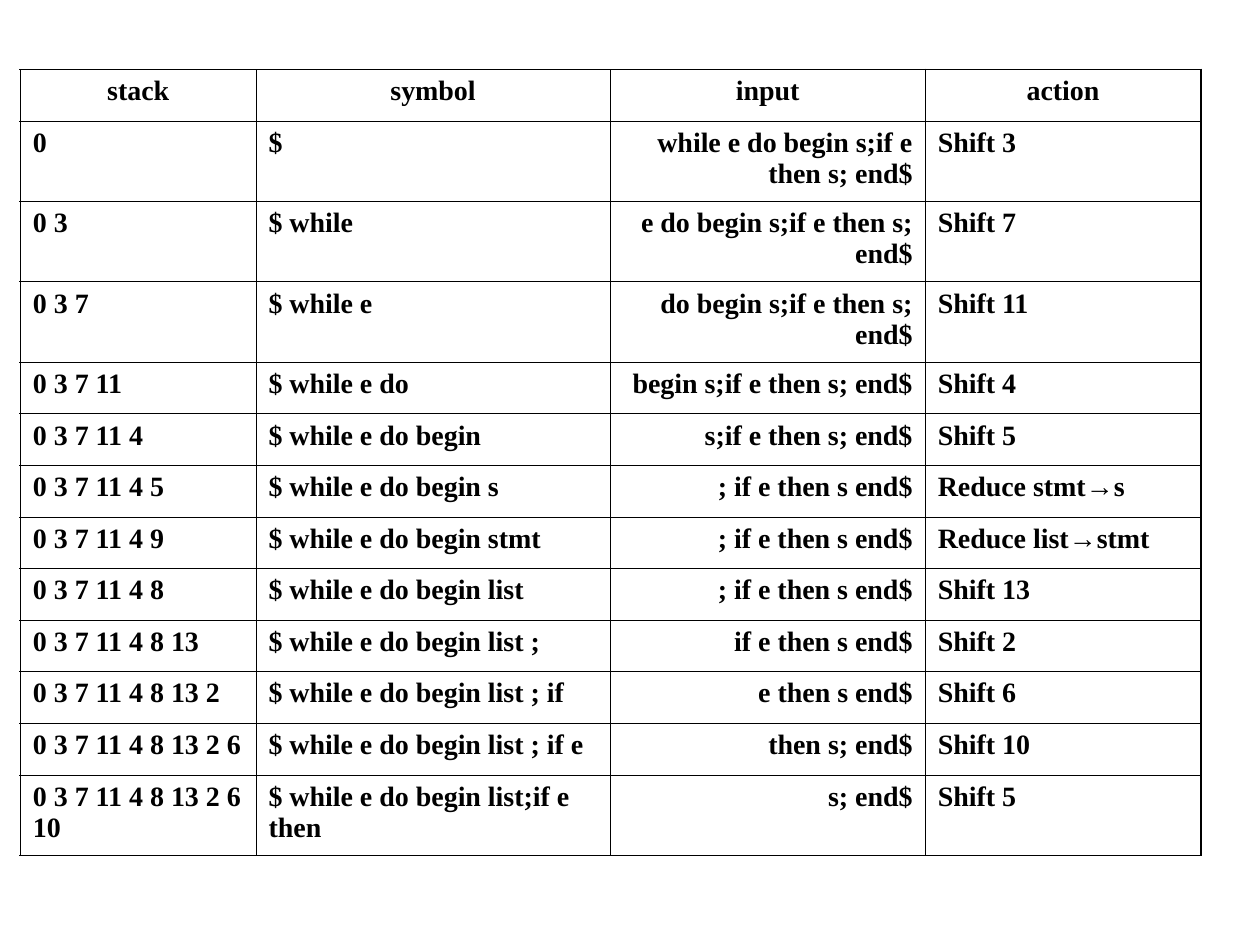
from dataclasses import dataclass
from typing import Any

from lxml.etree import SubElement
from pptx import Presentation
from pptx.dml.color import RGBColor
from pptx.enum.text import PP_ALIGN as Align
from pptx.oxml.ns import qn
from pptx.util import Cm, Pt

BLACK = RGBColor(0x00, 0x00, 0x00)
ARROW = "→"
THIN, THICK = Pt(0.45), Pt(1.08)

COLUMN_WIDTHS = [4.75, 7.14, 6.35, 5.56]
COLUMN_ALIGNMENTS = [Align.LEFT, Align.LEFT, Align.RIGHT, Align.LEFT]
ONE_LINE, TWO_LINES = 1.04, 1.62
TWO_LINE_ROWS = {1, 2, 3, 12}

PARSE_STEPS = [
    ("stack", "symbol", "input", "action"),
    ("0", "$", "while e do begin s;if e then s; end$", "Shift 3"),
    ("0 3", "$ while", "e do begin s;if e then s; end$", "Shift 7"),
    ("0 3 7", "$ while e", "do begin s;if e then s; end$", "Shift 11"),
    ("0 3 7 11", "$ while e do", "begin s;if e then s; end$", "Shift 4"),
    ("0 3 7 11 4", "$ while e do begin", "s;if e then s; end$", "Shift 5"),
    ("0 3 7 11 4 5", "$ while e do begin s", "; if e then s end$", "Reduce stmt→s"),
    ("0 3 7 11 4 9", "$ while e do begin stmt", "; if e then s end$", "Reduce list→stmt"),
    ("0 3 7 11 4 8", "$ while e do begin list", "; if e then s end$", "Shift 13"),
    ("0 3 7 11 4 8 13", "$ while e do begin list ;", "if e then s end$", "Shift 2"),
    ("0 3 7 11 4 8 13 2", "$ while e do begin list ; if", "e then s end$", "Shift 6"),
    ("0 3 7 11 4 8 13 2 6", "$ while e do begin list ; if e", "then s; end$", "Shift 10"),
    ("0 3 7 11 4 8 13 2 6 10", "$ while e do begin list;if e then", "s; end$", "Shift 5"),
]


@dataclass
class SlideBuilder:
    page: Any
    font_name: str = "Times New Roman"
    arrow_font: str = "Arial"
    font_size: int = 16

    def table(self, left, top, rows):
        heights = [TWO_LINES if i in TWO_LINE_ROWS else ONE_LINE for i in range(len(rows))]
        frame = self.page.shapes.add_table(
            len(rows), len(COLUMN_WIDTHS), Cm(left), Cm(top),
            Cm(sum(COLUMN_WIDTHS)), Cm(sum(heights)))
        table = frame.table
        table.first_row = table.horz_banding = False
        for column, width in zip(table.columns, COLUMN_WIDTHS):
            column.width = Cm(width)
        for row, height in zip(table.rows, heights):
            row.height = Cm(height)
        last_column = len(COLUMN_WIDTHS) - 1
        for i, texts in enumerate(rows):
            for j, text in enumerate(texts):
                cell = table.cell(i, j)
                self.borders(cell, {
                    "a:lnL": THICK if j == 0 else THIN,
                    "a:lnR": THICK if j == last_column else THIN,
                    "a:lnT": THICK if i == 0 and j >= 2 else THIN,
                    "a:lnB": THIN,
                })
                cell.fill.background()
                self.text(cell, text, Align.CENTER if i == 0 else COLUMN_ALIGNMENTS[j])

    def borders(self, cell, widths):
        properties = cell._tc.get_or_add_tcPr()
        for tag, width in widths.items():
            line = SubElement(properties, qn(tag), w=str(int(width)))
            fill = SubElement(line, qn("a:solidFill"))
            SubElement(fill, qn("a:srgbClr"), val=str(BLACK))

    def text(self, cell, text, alignment):
        """Write one bold paragraph, with any arrow in its own font."""
        para = cell.text_frame.paragraphs[0]
        para.alignment = alignment
        for part in filter(None, text.partition(ARROW)):
            span = para.add_run()
            span.text = part
            style = {
                "name": self.arrow_font if part == ARROW else self.font_name,
                "size": Pt(self.font_size),
                "bold": True,
            }
            for attribute, value in style.items():
                setattr(span.font, attribute, value)
            span.font.color.rgb = BLACK


def main():
    deck = Presentation()
    deck.slide_width, deck.slide_height = Cm(25.4), Cm(19.05)
    blank_layout = deck.slide_layouts[6]
    builder = SlideBuilder(deck.slides.add_slide(blank_layout))
    builder.table(0.41, 1.4, PARSE_STEPS)
    deck.save("out.pptx")


if __name__ == "__main__":
    main()
